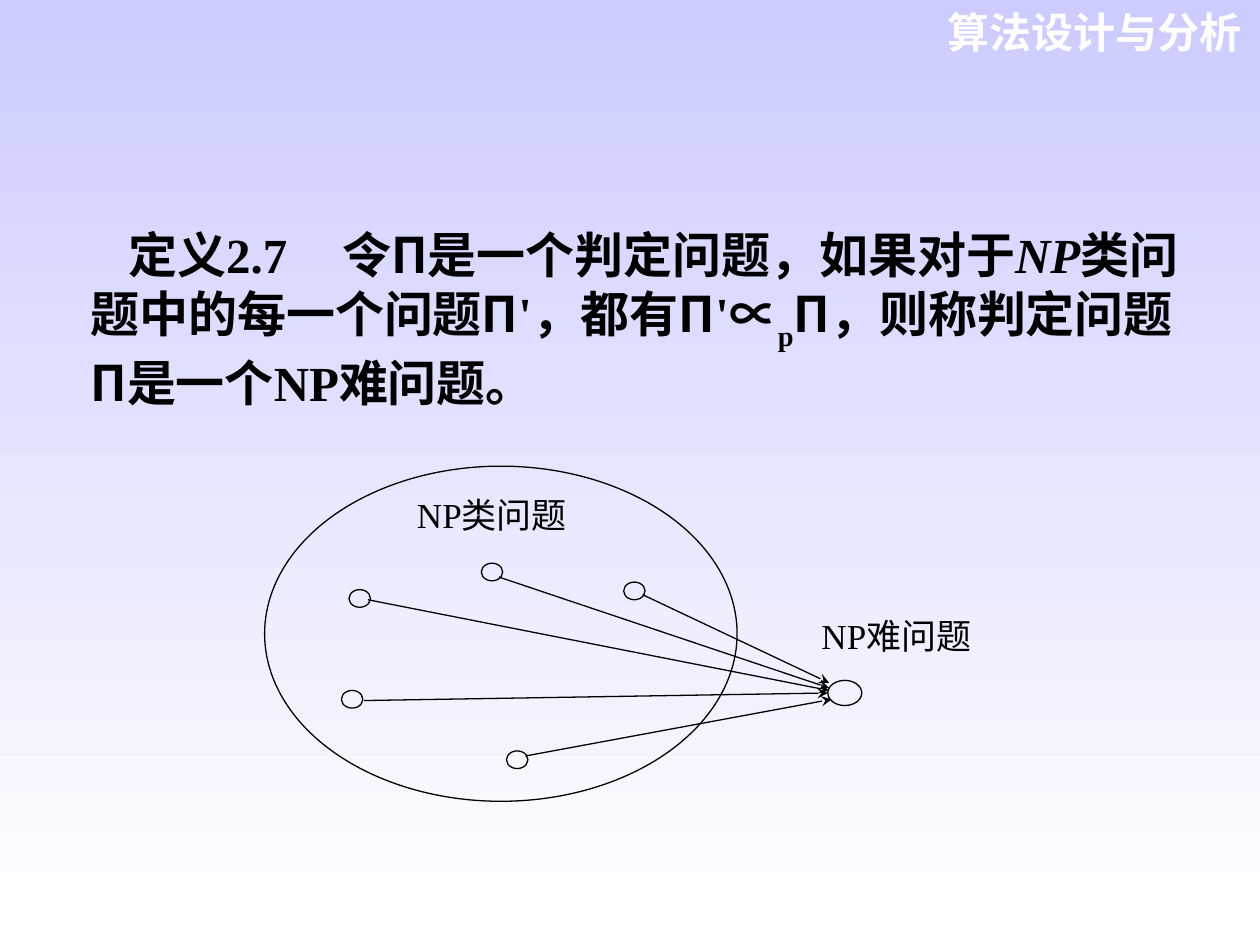
from lxml import etree
from pptx import Presentation
from pptx.dml.color import RGBColor
from pptx.enum.shapes import MSO_CONNECTOR, MSO_SHAPE
from pptx.enum.text import PP_ALIGN
from pptx.oxml.ns import qn
from pptx.util import Inches, Pt

BLACK = RGBColor(0x00, 0x00, 0x00)
WHITE = RGBColor(0xFF, 0xFF, 0xFF)
LAVENDER = RGBColor(0xCC, 0xCC, 0xFF)
OVAL = MSO_SHAPE.OVAL
STRAIGHT = MSO_CONNECTOR.STRAIGHT
LEFT, RIGHT = PP_ALIGN.LEFT, PP_ALIGN.RIGHT

CJK, TIMES, ARIAL = "Noto Sans CJK SC", "Times New Roman", "Arial"
LINE_WIDTH = Pt(0.75)

# Text, Latin font, extra format
DEFINITION = [
    ("定义", CJK, {}),
    ("2.7\t", TIMES, {}),
    ("令Π是一个判定问题，如果对于", CJK, {}),
    ("NP", TIMES, {"italic": True}),
    ("类问题中的每一个问题Π", CJK, {}),
    ("'", TIMES, {}),
    ("，都有Π", CJK, {}),
    ("'", TIMES, {}),
    ("∝", CJK, {}),
    ("p", TIMES, {"subscript": True}),
    ("Π，则称判定问题Π是一个", CJK, {}),
    ("NP", TIMES, {}),
    ("难问题。", CJK, {}),
]

# Left and top of each small circle, then both ends of its arrow
PROBLEMS = [
    ((2.77, 4.68), (2.92, 4.76), (6.58, 5.48)),
    ((2.71, 5.48), (2.89, 5.56), (6.57, 5.50)),
    ((4.02, 5.96), (4.17, 6.00), (6.60, 5.55)),
    ((3.82, 4.47), (3.96, 4.58), (6.58, 5.46)),
    ((4.95, 4.62), (5.10, 4.72), (6.58, 5.42)),
]


def inches(*values):
    return [Inches(v) for v in values]


def add_text(s, box, runs, size, color=BLACK, bold=False, align=LEFT,
             margins=(0.1, 0.05), before=0):
    tf = s.shapes.add_textbox(*inches(*box)).text_frame
    tf.word_wrap = True
    tf.margin_left = tf.margin_right = Inches(margins[0])
    tf.margin_top = tf.margin_bottom = Inches(margins[1])
    p = tf.paragraphs[0]
    p.alignment = align
    p.space_before = Pt(before)
    for text, font, extra in runs:
        r = p.add_run()
        r.text = text
        formats = {"name": font, "size": Pt(size), "bold": bold, **extra}
        subscript = formats.pop("subscript", False)
        for name, value in formats.items():
            setattr(r.font, name, value)
        r.font.color.rgb = color
        rpr = r.font._element
        if subscript:
            rpr.set("baseline", "-30000")
        etree.SubElement(rpr, qn("a:ea")).set("typeface", CJK)
    return p


def add_oval(s, box):
    sp = s.shapes.add_shape(OVAL, *inches(*box))
    sp.shadow.inherit = False
    sp.fill.background()
    sp.line.color.rgb = BLACK
    sp.line.width = LINE_WIDTH


def add_arrow(s, start, end):
    c = s.shapes.add_connector(STRAIGHT, *inches(*start, *end))
    c.line.color.rgb = BLACK
    c.line.width = LINE_WIDTH
    etree.SubElement(c.line._get_or_add_ln(), qn("a:tailEnd")).set("type", "stealth")
    etree.SubElement(c._element.spPr, qn("a:effectLst"))


def add_background(s):
    fill = s.background.fill
    fill.gradient()
    fill.gradient_angle = 270
    for stop, color, position in zip(fill.gradient_stops, (LAVENDER, WHITE), (0, 1)):
        stop.color.rgb = color
        stop.position = position


def add_header(s, box):
    add_text(s, box, [("算法设计与分析", ARIAL, {})], 24, WHITE, True, RIGHT, before=15)


def add_definition(s, box):
    p = add_text(s, box, DEFINITION, 28, bold=True, before=15)
    # First-line indent, and a tab stop after the number
    ppr = p._p.get_or_add_pPr()
    ppr.set("marL", "0")
    ppr.set("indent", str(Inches(0.3)))
    tabs = etree.SubElement(ppr, qn("a:tabLst"))
    etree.SubElement(tabs, qn("a:tab"), pos=str(Inches(1.94)), algn="l")


def add_diagram(s, box):
    # The NP class and the NP-hard problem
    add_oval(s, box)
    add_oval(s, (6.57, 5.4, 0.27, 0.2))
    for text, left, top in (("NP类问题", 3.31, 3.92), ("NP难问题", 6.52, 4.88)):
        add_text(s, (left, top, 1.3, 0.33), [(text, TIMES, {})], 20, margins=(0, 0))
    # Problems of the class, each reduced to the hard one
    for corner, start, end in PROBLEMS:
        add_oval(s, (*corner, 0.17, 0.14))
        add_arrow(s, start, end)


def main():
    prs = Presentation()
    prs.slide_width, prs.slide_height = inches(10, 7.5)
    s = prs.slides.add_slide(prs.slide_layouts[6])
    add_background(s)
    add_header(s, (7.24, 0, 2.71, 0.5))
    add_definition(s, (0.62, 1.73, 9, 1.59))
    add_diagram(s, (2.1, 3.7, 3.75, 2.66))
    prs.save("out.pptx")


if __name__ == "__main__":
    main()
